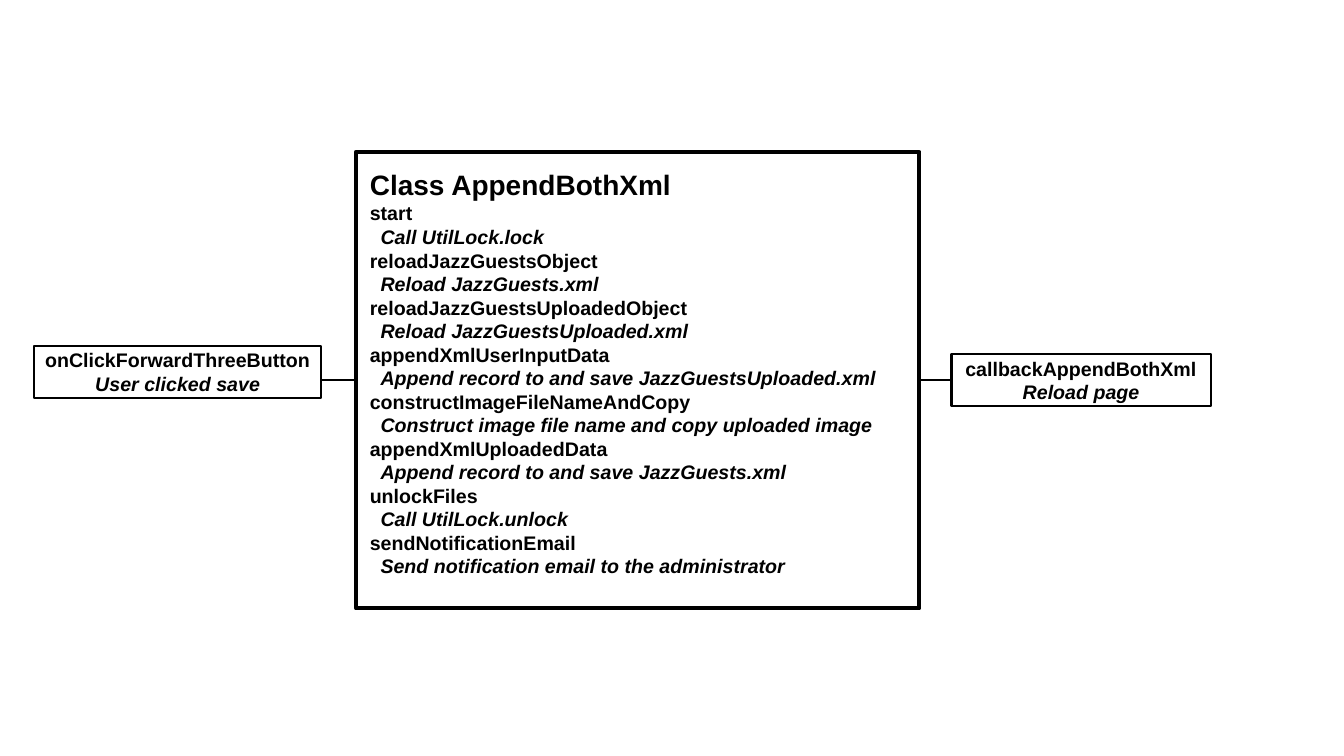
from lxml import etree
from pptx import Presentation
from pptx.dml.color import RGBColor
from pptx.enum.shapes import MSO_CONNECTOR, MSO_SHAPE
from pptx.enum.text import MSO_ANCHOR, PP_ALIGN
from pptx.oxml.ns import qn
from pptx.util import Cm, Pt

RECTANGLE = MSO_SHAPE.RECTANGLE
STRAIGHT = MSO_CONNECTOR.STRAIGHT
MIDDLE = MSO_ANCHOR.MIDDLE
LEFT, CENTER = PP_ALIGN.LEFT, PP_ALIGN.CENTER
LEFT_SIDE, RIGHT_SIDE = 1, 3

BLACK = RGBColor(0, 0, 0)
FONT = "Arial"
STEP_INDENT = Cm(0.27)

CLASS_TITLE = "Class AppendBothXml"
METHODS = [
    ("start", "Call UtilLock.lock"),
    ("reloadJazzGuestsObject", "Reload JazzGuests.xml"),
    ("reloadJazzGuestsUploadedObject", "Reload JazzGuestsUploaded.xml"),
    ("appendXmlUserInputData", "Append record to and save JazzGuestsUploaded.xml"),
    ("constructImageFileNameAndCopy", "Construct image file name and copy uploaded image"),
    ("appendXmlUploadedData", "Append record to and save JazzGuests.xml"),
    ("unlockFiles", "Call UtilLock.unlock"),
    ("sendNotificationEmail", "Send notification email to the administrator"),
]


def add_line(tf, text, size=14, italic=False, align=LEFT, indent=0):
    p = tf.paragraphs[0]
    if p.runs:
        p = tf.add_paragraph()
    p.alignment = align
    if indent:
        pPr = p._p.get_or_add_pPr()
        pPr.set("marL", str(indent))
        pPr.set("indent", "0")
    r = p.add_run()
    r.text = text
    r.font.name = FONT
    r.font.size = Pt(size)
    r.font.bold = True
    r.font.italic = italic
    r.font.color.rgb = BLACK


def add_frame(s, left, top, width, height, weight):
    sp = s.shapes.add_shape(RECTANGLE, Cm(left), Cm(top), Cm(width), Cm(height))
    sp.shadow.inherit = False
    sp.fill.background()
    sp.line.color.rgb = BLACK
    sp.line.width = Pt(weight)
    return sp


def add_function_box(s, left, top, width, height, name, action):
    sp = add_frame(s, left, top, width, height, 1.5)
    tf = sp.text_frame
    tf.word_wrap = False
    tf.vertical_anchor = MIDDLE
    add_line(tf, name, align=CENTER)
    add_line(tf, action, italic=True, align=CENTER)
    return sp


def add_class_text(s, left, top, width, height):
    sp = s.shapes.add_textbox(Cm(left), Cm(top), Cm(width), Cm(height))
    tf = sp.text_frame
    tf.word_wrap = True
    tf.vertical_anchor = MIDDLE
    add_line(tf, CLASS_TITLE, size=20)
    for method, action in METHODS:
        add_line(tf, method)
        add_line(tf, action, italic=True, indent=STEP_INDENT)


def add_link(s, x1, x2, y):
    link = s.shapes.add_connector(STRAIGHT, x1, y, x2, y)
    link.line.color.rgb = BLACK
    link.line.width = Pt(1.25)
    etree.SubElement(link._element.spPr, qn("a:effectLst"))
    return link


def main():
    prs = Presentation()
    prs.slide_width, prs.slide_height = Cm(33.87), Cm(19.05)
    s = prs.slides.add_slide(prs.slide_layouts[6])

    class_box = add_frame(s, 8.97, 3.83, 14.2, 11.5, 3)
    add_class_text(s, 9.07, 3.83, 13.97, 11.13)
    caller = add_function_box(s, 0.86, 8.71, 7.24, 1.32,
                              "onClickForwardThreeButton", "User clicked save")
    callback = add_function_box(s, 23.98, 8.92, 6.53, 1.32,
                                "callbackAppendBothXml", "Reload page")

    middle = class_box.top + class_box.height // 2
    link = add_link(s, class_box.left, caller.left + caller.width, middle)
    link.begin_connect(class_box, LEFT_SIDE)
    link = add_link(s, callback.left, class_box.left + class_box.width, middle)
    link.begin_connect(callback, LEFT_SIDE)
    link.end_connect(class_box, RIGHT_SIDE)

    prs.save("out.pptx")


if __name__ == "__main__":
    main()
